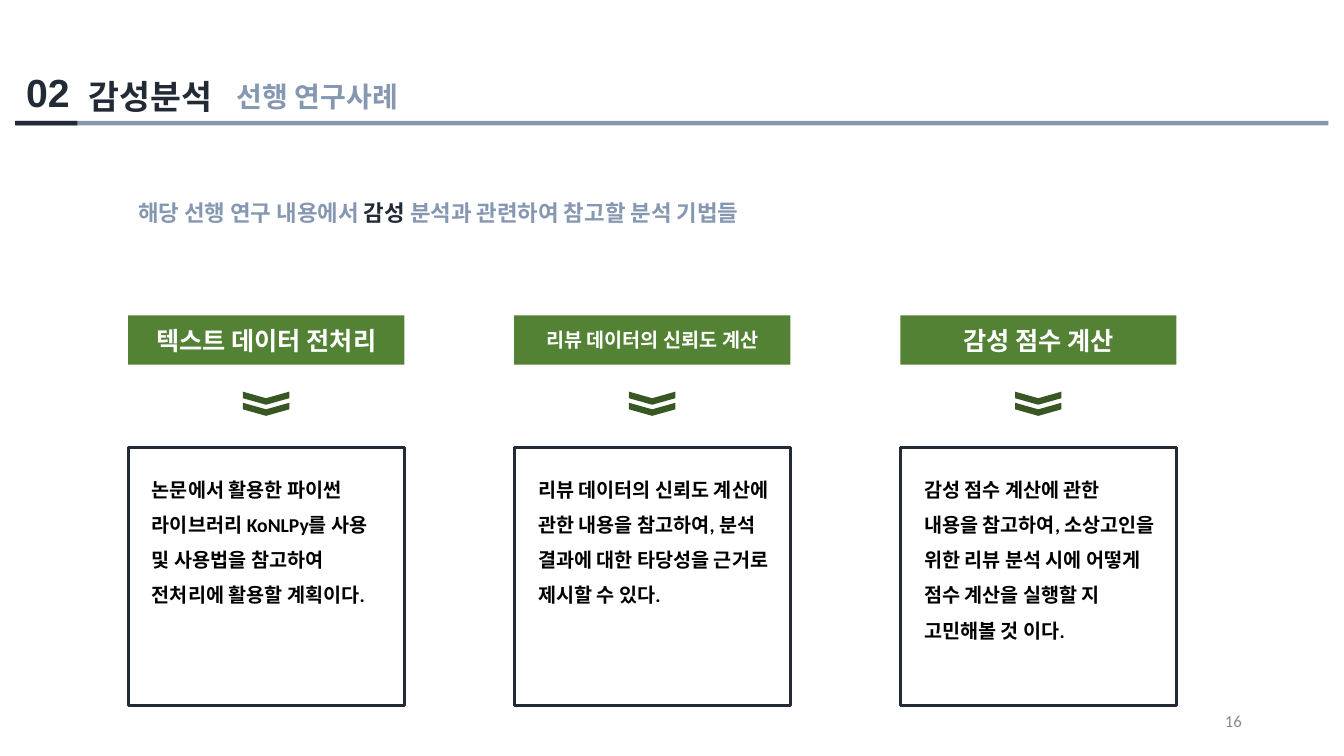
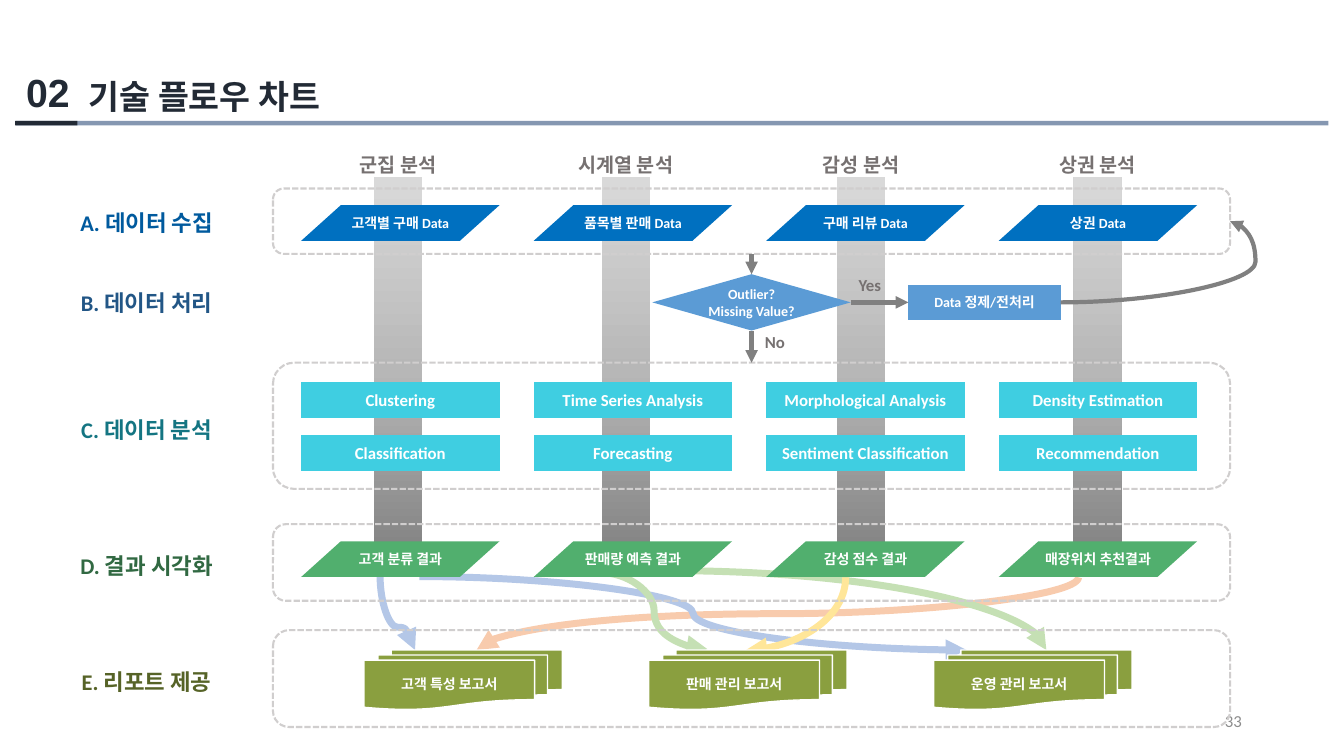
"""Build two slides on sentiment analysis and the technical flow chart."""
import copy
import dataclasses

import lxml.etree
import pptx
import pptx.dml.color
import pptx.enum.dml
import pptx.enum.shapes
import pptx.enum.text
import pptx.oxml.ns
import pptx.util

SHAPE = pptx.enum.shapes.MSO_SHAPE
CONNECTOR = pptx.enum.shapes.MSO_CONNECTOR
ALIGN = pptx.enum.text.PP_ALIGN
ANCHOR = pptx.enum.text.MSO_ANCHOR
qn = pptx.oxml.ns.qn


@dataclasses.dataclass(frozen=True)
class Theme:
    body_font: str = "Calibri"
    number_font: str = "Arial"
    korean_font: str = "Noto Sans CJK KR"
    navy: str = "222A35"
    slate: str = "8597B1"
    white: str = "FFFFFF"
    black: str = "000000"
    page_gray: str = "8C8C8C"
    label_gray: str = "767171"
    arrow_gray: str = "808080"
    dash_gray: str = "D0CECE"
    header_green: str = "548235"
    chevron_green: str = "385723"
    data_blue: str = "0070C0"
    process_blue: str = "5B9BD5"
    analysis_cyan: str = "3FCEE1"
    result_green: str = "51AF6E"
    report_olive: str = "8A9F3F"
    flow_orange: str = "F8CBAD"
    flow_blue: str = "B4C7E7"
    flow_green: str = "C5E0B4"
    flow_yellow: str = "FFE699"
    stripe: tuple = ((0, "808080"), (0.5, "B7B7B7"), (1, "D9D9D9"))
    number: int = 28
    title: int = 24
    subtitle: int = 20
    header: int = 18
    lead: int = 16
    body: int = 14
    label: int = 12
    small: int = 10


THEME = Theme()


def cm(*lengths):
    return [pptx.util.Cm(length) for length in lengths]


def rgb(color):
    return pptx.dml.color.RGBColor.from_string(color)


def write(shape, text, size, color, font=THEME.body_font, bold=True, align=ALIGN.LEFT,
          anchor=ANCHOR.TOP, spacing=None, margin=None):
    frame = shape.text_frame
    frame.text = text
    frame.word_wrap = True
    frame.vertical_anchor = anchor
    if margin is not None:
        frame.margin_left = frame.margin_right = pptx.util.Cm(margin)
        frame.margin_top = frame.margin_bottom = pptx.util.Cm(margin)
    for paragraph in frame.paragraphs:
        paragraph.alignment = align
        if spacing:
            paragraph.line_spacing = spacing
        paragraph.font.name = font
        paragraph.font.size = pptx.util.Pt(size)
        paragraph.font.bold = bold
        paragraph.font.color.rgb = rgb(color)


def add_text(slide, box, text, size, color, **style):
    textbox = slide.shapes.add_textbox(*cm(*box))
    write(textbox, text, size, color, **style)
    return textbox


def add_block(slide, kind, box, fill=None, line=None, width=1):
    block = slide.shapes.add_shape(kind, *cm(*box))
    block.shadow.inherit = False
    if fill:
        block.fill.solid()
        block.fill.fore_color.rgb = rgb(fill)
    else:
        block.fill.background()
    if line:
        block.line.color.rgb = rgb(line)
        block.line.width = pptx.util.Pt(width)
    else:
        block.line.fill.background()
    return block


def add_node(slide, kind, box, text, fill, size=THEME.small, font=THEME.body_font, line=None):
    node = add_block(slide, kind, box, fill, line)
    write(node, text, size, THEME.white, font=font, align=ALIGN.CENTER,
          anchor=ANCHOR.MIDDLE, margin=0)
    return node


def add_band(slide, top, height):
    band = add_block(slide, SHAPE.FLOWCHART_ALTERNATE_PROCESS, (6.88, top, 24.12, height),
                     line=THEME.dash_gray, width=1.5)
    band.line.dash_style = pptx.enum.dml.MSO_LINE.SQUARE_DOT
    return band


def add_stripe(slide, center):
    stripe = add_block(slide, SHAPE.RECTANGLE, (center - 0.61, 4.45, 1.22, 9.78))
    stripe.fill.gradient()
    stripe.fill.gradient_angle = 90
    stop_list = stripe.element.spPr.find(".//" + qn("a:gsLst"))
    stop_list.insert(1, copy.deepcopy(stop_list[0]))
    for stop, (position, color) in zip(stripe.fill.gradient_stops, THEME.stripe):
        stop.position = position
        stop.color.rgb = rgb(color)


def style_arrow(arrow, color, width):
    arrow.line.color.rgb = rgb(color)
    arrow.line.width = pptx.util.Pt(width)
    properties = arrow.element.spPr
    lxml.etree.SubElement(properties.find(qn("a:ln")), qn("a:tailEnd"), type="triangle")
    lxml.etree.SubElement(properties, qn("a:effectLst"))


def bend(arrow, share):
    guides = arrow.element.spPr.find(".//" + qn("a:avLst"))
    lxml.etree.SubElement(guides, qn("a:gd"), name="adj1", fmla=f"val {round(share * 100000)}")


def link(slide, source, source_side, target, target_side, kind=CONNECTOR.STRAIGHT):
    arrow = slide.shapes.add_connector(kind, 0, 0, 0, 0)
    arrow.begin_connect(source, source_side)
    arrow.end_connect(target, target_side)
    style_arrow(arrow, THEME.arrow_gray, 3)
    return arrow


def add_flow(slide, start, end, color, downward=False, quarter=False, share=0.5):
    """Draw a curved arrow that leaves its start sideways, or downward by a quarter turn."""
    (x1, y1), (x2, y2) = start, end
    if downward:
        middle_x, middle_y = (x1 + x2) / 2, (y1 + y2) / 2
        half_width, half_height = (y2 - y1) / 2, (x1 - x2) / 2
        x1, x2 = middle_x - half_width, middle_x + half_width
        y1, y2 = middle_y - half_height, middle_y + half_height
    flow = slide.shapes.add_connector(CONNECTOR.CURVE, *cm(x1, y1, x2, y2))
    properties = flow.element.spPr
    if downward:
        properties.find(qn("a:xfrm")).set("rot", str(90 * 60000))
    if quarter:
        properties.find(qn("a:prstGeom")).set("prst", "curvedConnector2")
    else:
        bend(flow, share)
    style_arrow(flow, color, 5)


def add_page(deck, title, title_width, page_number):
    slide = deck.slides.add_slide(deck.slide_layouts[5])
    add_block(slide, SHAPE.RECTANGLE, (0.41, 3.05, 33.07, 0.11), THEME.slate)
    add_block(slide, SHAPE.RECTANGLE, (0.38, 3.05, 1.57, 0.11), THEME.navy)
    add_text(slide, (0.41, 1.6, 1.7, 1.45), "02", THEME.number, THEME.navy,
             font=THEME.number_font)
    heading = slide.shapes.title
    heading.left, heading.top, heading.width, heading.height = cm(1.98, 1.78, title_width, 1.27)
    write(heading, title, THEME.title, THEME.navy)
    heading.text_frame.auto_size = pptx.enum.text.MSO_AUTO_SIZE.NONE
    add_text(slide, (23.93, 17.65, 7.62, 1.02), page_number, THEME.label, THEME.page_gray,
             bold=False, align=ALIGN.RIGHT, anchor=ANCHOR.MIDDLE)
    return slide


def add_technique(slide, left, header, size, font, body):
    width = 6.96
    add_node(slide, SHAPE.RECTANGLE, (left, 7.95, width, 1.24), header,
             THEME.header_green, size, font)
    for top in (9.45, 9.73):
        chevron = add_block(slide, SHAPE.CHEVRON, (left + width / 2 - 0.17, top, 0.33, 1.17),
                            THEME.chevron_green)
        chevron.rotation = 90
    add_block(slide, SHAPE.RECTANGLE, (left, 11.28, width, 6.5), line=THEME.navy, width=2.25)
    add_text(slide, (left + 0.35, 11.61, 6.32, 4.6), body, THEME.body, THEME.black, spacing=1.5)


def build_techniques(deck):
    slide = add_page(deck, "감성분석", 4.72, "16")
    add_text(slide, (5.72, 1.88, 6.1, 1.12), "선행 연구사례", THEME.subtitle, THEME.slate)
    lead = add_text(slide, (3.23, 4.9, 17.78, 0.94), "해당 선행 연구 내용에서 ",
                    THEME.lead, THEME.slate).text_frame.paragraphs[0]
    keyword = lead.add_run()
    keyword.text = "감성"
    keyword.font.color.rgb = rgb(THEME.navy)
    lead.add_run().text = " 분석과 관련하여 참고할 분석 기법들"
    techniques = (
        ("텍스트 데이터 전처리", THEME.header, THEME.body_font,
         "논문에서 활용한 파이썬 라이브러리 KoNLPy를 사용 및 사용법을 참고하여 "
         "전처리에 활용할 계획이다."),
        ("리뷰 데이터의 신뢰도 계산", THEME.body, THEME.korean_font,
         "리뷰 데이터의 신뢰도 계산에 관한 내용을 참고하여, 분석 결과에 대한 "
         "타당성을 근거로 제시할 수 있다."),
        ("감성 점수 계산", THEME.header, THEME.body_font,
         "감성 점수 계산에 관한 내용을 참고하여, 소상고인을 위한 리뷰 분석 시에 "
         "어떻게 점수 계산을 실행할 지 고민해볼 것 이다."),
    )
    for column, technique in enumerate(techniques):
        add_technique(slide, 3.23 + 9.73 * column, *technique)


def add_report_flows(slide):
    add_flow(slide, (27.18, 14.55), (12.01, 16.38), THEME.flow_orange, downward=True)
    add_flow(slide, (9.58, 14.53), (10.46, 16.38), THEME.flow_blue, downward=True, share=0.69)
    add_flow(slide, (10.57, 14.53), (24.36, 16.38), THEME.flow_blue)
    add_flow(slide, (16.81, 14.38), (26.37, 16.38), THEME.flow_green, quarter=True)
    add_flow(slide, (15.14, 14.43), (17.83, 16.36), THEME.flow_green)
    add_flow(slide, (21.31, 14.55), (18.8, 16.38), THEME.flow_yellow, downward=True, quarter=True)


def build_flow_chart(deck):
    slide = add_page(deck, "기술 플로우 차트", 9.22, "33")
    add_report_flows(slide)

    analyses = (("군집 분석", 10.03), ("시계열 분석", 15.77),
                ("감성 분석", 21.7), ("상권 분석", 27.66))
    for name, center in analyses:
        add_stripe(slide, center)
        add_text(slide, (center - 1.71, 3.73, 3.42, 0.86), name, THEME.body, THEME.label_gray,
                 align=ALIGN.CENTER)

    stages = (("A. 데이터 수집", "005A9E", 5.13), ("B. 데이터 처리", "225686", 7.16),
              ("C. 데이터 분석", "147582", 10.36), ("D. 결과 시각화", "316942", 13.79),
              ("E. 리포트 제공", "566327", 16.71))
    for name, color, top in stages:
        add_text(slide, (1.22, top, 4.95, 0.94), name, THEME.lead, color,
                 align=ALIGN.CENTER, anchor=ANCHOR.MIDDLE)

    bands = ((4.75, 1.65), (9.14, 3.18), (13.21, 1.93), (15.88, 2.44))
    collection, analysis, _, _ = [add_band(slide, *band) for band in bands]

    slanted, plain = SHAPE.FLOWCHART_DATA, SHAPE.FLOWCHART_PROCESS
    rows = (
        (slanted, 5.17, THEME.data_blue, THEME.small,
         ("고객별 구매 Data", "품목별 판매 Data", "구매 리뷰 Data", "상권 Data")),
        (plain, 9.63, THEME.analysis_cyan, THEME.label,
         ("Clustering", "Time Series Analysis", "Morphological Analysis", "Density Estimation")),
        (plain, 10.97, THEME.analysis_cyan, THEME.label,
         ("Classification", "Forecasting", "Sentiment Classification", "Recommendation")),
        (slanted, 13.64, THEME.result_green, THEME.small,
         ("고객 분류 결과", "판매량 예측 결과", "감성 점수 결과", "매장위치 추천결과")),
    )
    for kind, top, fill, size, names in rows:
        for column, name in enumerate(names):
            add_node(slide, kind, (7.59 + 5.86 * column, top, 5, 0.9), name, fill, size)

    for column, name in enumerate(("고객 특성 보고서", "판매 관리 보고서", "운영 관리 보고서")):
        add_node(slide, SHAPE.FLOWCHART_MULTIDOCUMENT, (9.17 + 7.18 * column, 16.38, 5, 1.5),
                 name, THEME.report_olive, line=THEME.white)

    check = add_node(slide, SHAPE.FLOWCHART_DECISION, (16.44, 6.91, 5, 1.42),
                     "Outlier?\nMissing Value?", THEME.process_blue)
    cleaning = add_node(slide, plain, (22.89, 7.17, 3.84, 0.9), "Data 정제/전처리",
                        THEME.process_blue)
    link(slide, collection, 2, check, 0)
    link(slide, check, 2, analysis, 0)
    link(slide, check, 3, cleaning, 1)
    bend(link(slide, cleaning, 3, collection, 3, CONNECTOR.CURVE), 1.15)
    for answer, left, top in (("No", 18.87, 8.23), ("Yes", 21.26, 6.81)):
        add_text(slide, (left, top, 1.32, 0.76), answer, THEME.label, THEME.label_gray,
                 align=ALIGN.CENTER)


def main():
    deck = pptx.Presentation()
    deck.slide_width, deck.slide_height = cm(33.87, 19.05)
    build_techniques(deck)
    build_flow_chart(deck)
    deck.save("out.pptx")


if __name__ == "__main__":
    main()
